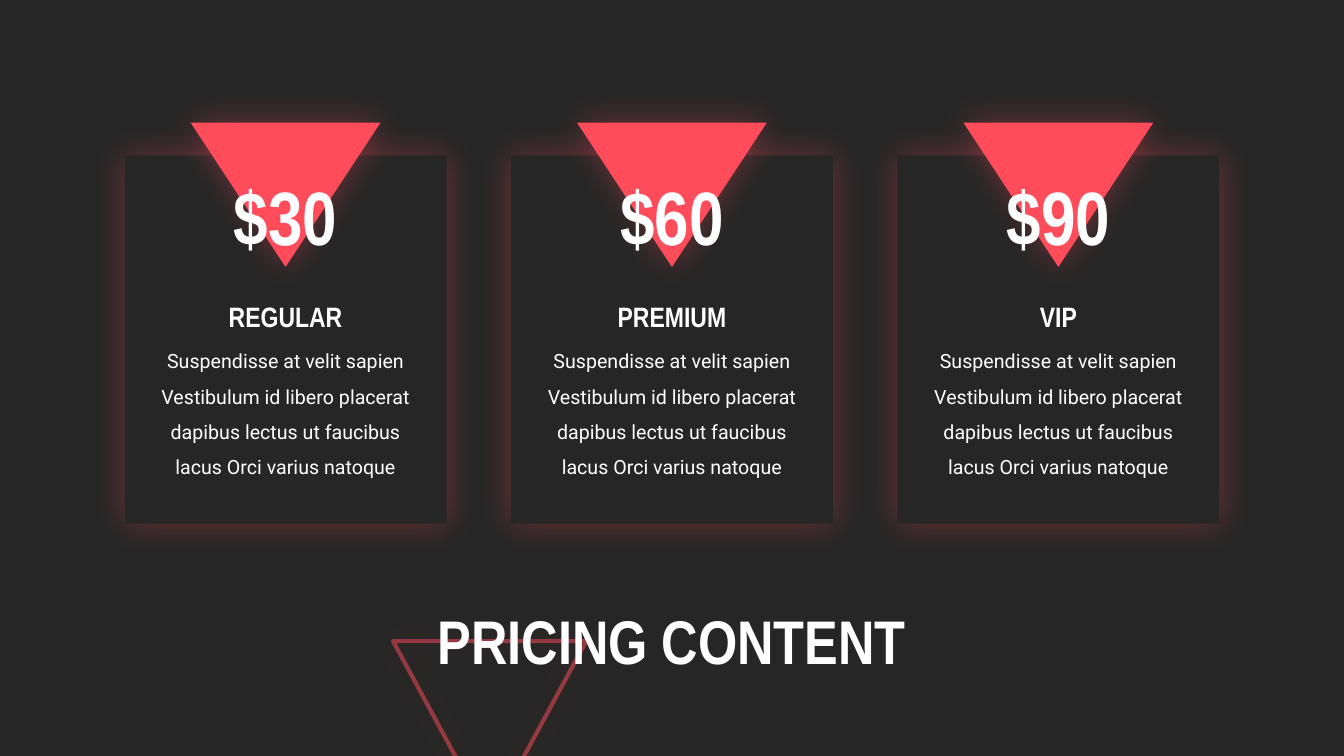
from lxml import etree
from pptx import Presentation
from pptx.dml.color import RGBColor
from pptx.enum import shapes, text
from pptx.oxml.ns import qn
from pptx.util import Pt

HEADING = "PRICING CONTENT"
DETAILS = ("Suspendisse at velit sapien Vestibulum id libero placerat "
           "dapibus lectus ut faucibus lacus Orci varius natoque")
PLANS = [("$30", "REGULAR"), ("$60", "PREMIUM"), ("$90", "VIP")]

THEME = {
    "dark": RGBColor.from_string("262626"),
    "accent": RGBColor.from_string("FF4C5B"),
    "light": RGBColor.from_string("FFFFFF"),
    "display": "Arial Narrow",
    "reading": "Roboto",
    "heading_size": 44,
    "price_size": 54,
    "plan_size": 20,
    "details_size": 14,
    "glow_blur": 25,
    "glow_alpha": 35,
    "outline_alpha": 50,
}

SLIDE_WIDTH, SLIDE_HEIGHT = 960, 540
PLAN_PITCH = 276


def add_alpha(color, percent):
    etree.SubElement(color, qn("a:alpha"), val=str(percent * 1000))


def add_glow(shape):
    effects = etree.SubElement(shape._element.spPr, qn("a:effectLst"))
    glow = etree.SubElement(effects, qn("a:outerShdw"), dist="0", dir="0",
                            blurRad=str(Pt(THEME["glow_blur"])), rotWithShape="0")
    color = etree.SubElement(glow, qn("a:srgbClr"), val=str(THEME["accent"]))
    add_alpha(color, THEME["glow_alpha"])


def centred(center, top, width, height):
    return [Pt(v) for v in (center - width / 2, top, width, height)]


def add_glowing(slide, preset, box, fill):
    shape = slide.shapes.add_shape(preset, *box)
    shape.fill.solid()
    shape.fill.fore_color.rgb = fill
    shape.line.fill.background()
    shape.rotation = 180
    shape._element.spPr.find(qn("a:xfrm")).set("flipH", "1")
    add_glow(shape)


def write(frame, words, size, font, bold=True, spacing=None):
    frame.word_wrap = True
    frame.text = words
    paragraph = frame.paragraphs[0]
    paragraph.alignment = text.PP_ALIGN.CENTER
    paragraph.line_spacing = spacing
    paragraph.font.size = Pt(size)
    paragraph.font.name = font
    paragraph.font.bold = bold
    paragraph.font.color.rgb = THEME["light"]


def add_plan(slide, center, price, plan):
    add_glowing(slide, shapes.MSO_SHAPE.RECTANGLE,
                centred(center, 111, 230, 263), THEME["dark"])
    add_glowing(slide, shapes.MSO_SHAPE.ISOSCELES_TRIANGLE,
                centred(center, 87.7, 135.5, 103), THEME["accent"])
    for words, box, size, font, bold, spacing in (
        (price, (117.5, 120, 72.7), THEME["price_size"], THEME["display"], True, None),
        (plan, (210.5, 135.5, 31.5), THEME["plan_size"], THEME["display"], True, None),
        (DETAILS, (237.5, 202, 106.5), THEME["details_size"], THEME["reading"], False, 1.5),
    ):
        label = slide.shapes.add_textbox(*centred(center, *box))
        write(label.text_frame, words, size, font, bold, spacing)


def add_heading(slide):
    outline = slide.shapes.add_shape(shapes.MSO_SHAPE.ISOSCELES_TRIANGLE,
                                     Pt(280.8), Pt(458), Pt(138), Pt(127.5))
    outline.fill.background()
    outline.line.width = Pt(3)
    outline.line.color.rgb = THEME["accent"]
    add_alpha(outline._element.spPr.find(".//" + qn("a:srgbClr")), THEME["outline_alpha"])
    outline._element.spPr.find(qn("a:xfrm")).set("flipV", "1")
    add_glow(outline)

    heading = slide.shapes.title
    heading.left, heading.top, heading.width, heading.height = centred(480, 425, 490, 70.5)
    write(heading.text_frame, HEADING, THEME["heading_size"], THEME["display"], spacing=0.9)
    heading.text_frame.vertical_anchor = text.MSO_ANCHOR.MIDDLE
    outline._element.addnext(heading._element)


def main():
    deck = Presentation()
    deck.slide_width, deck.slide_height = Pt(SLIDE_WIDTH), Pt(SLIDE_HEIGHT)
    slide = deck.slides.add_slide(deck.slide_layouts.get_by_name("Title Only"))
    slide.background.fill.solid()
    slide.background.fill.fore_color.rgb = THEME["dark"]
    add_heading(slide)
    first_center = SLIDE_WIDTH / 2 - PLAN_PITCH * (len(PLANS) - 1) / 2
    for column, (price, plan) in enumerate(PLANS):
        add_plan(slide, first_center + column * PLAN_PITCH, price, plan)
    deck.save("out.pptx")


if __name__ == "__main__":
    main()
